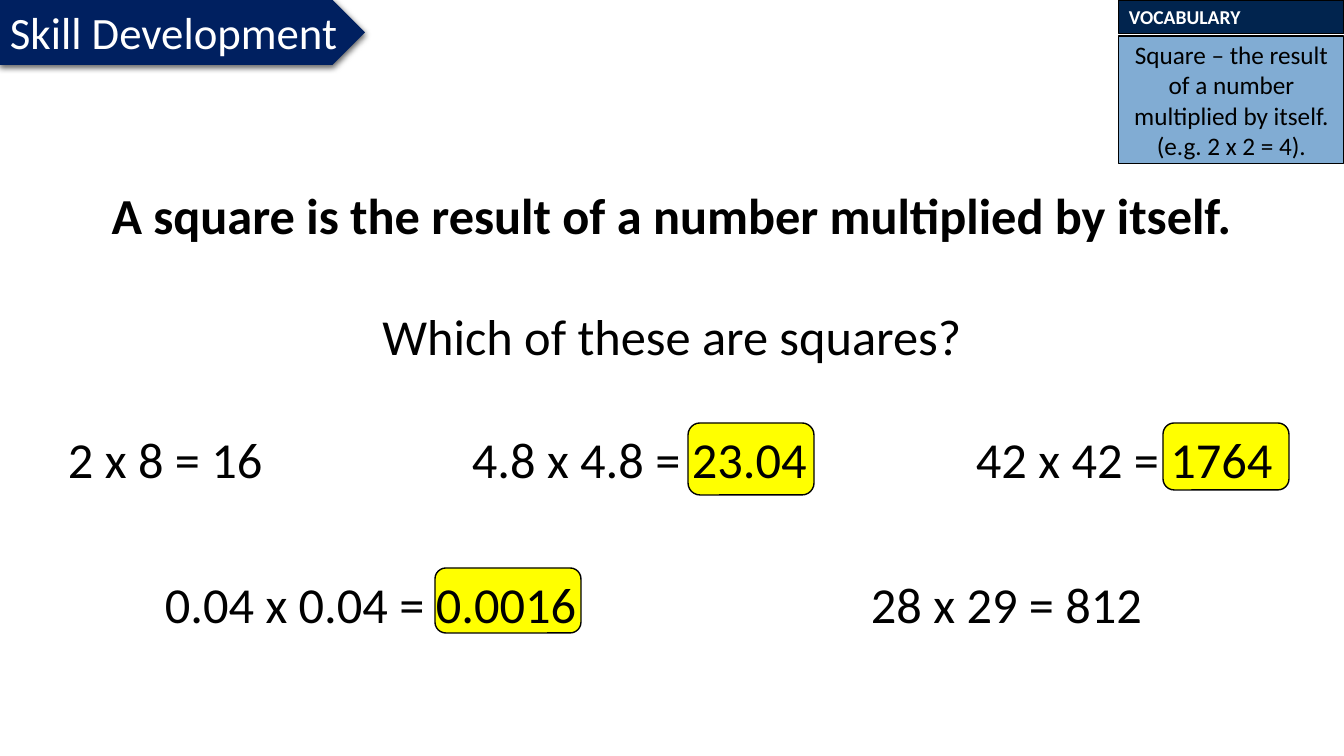
from lxml import etree
from pptx import Presentation
from pptx import util as u
from pptx.dml.color import RGBColor
from pptx.enum import shapes, text
from pptx.oxml.ns import qn

PX = u.Inches(1) / 100.8
HUES = {"navy": "002060", "ink": "01244E", "blue": "2E75B6",
        "gold": "FFFF00", "black": "000000", "white": "FFFFFF"}
KIND = shapes.MSO_SHAPE
LEFT, MID = text.PP_ALIGN.LEFT, text.PP_ALIGN.CENTER


def draw(parent, kind, box, fill, line=None):
    """Add a preset shape; box is left, top, width, height in px."""
    item = parent.add_shape(kind, *[round(n * PX) for n in box])
    item.shadow.inherit = False
    item.fill.solid()
    item.fill.fore_color.rgb = RGBColor.from_string(HUES[fill])
    if line:
        item.line.color.rgb = RGBColor.from_string(HUES["black"])
        item.line.width = u.Pt(line)
    else:
        item.line.fill.background()
    return item


def write(item, words, size, hue="black", align=LEFT, bold=False, wrap=True,
          anchor=text.MSO_ANCHOR.TOP):
    frame = item.text_frame
    frame.text = words
    frame.word_wrap = wrap
    frame.vertical_anchor = anchor
    for para in frame.paragraphs:
        para.alignment = align
        for run in para.runs:
            run.font.name = "Calibri"
            run.font.size = u.Pt(size)
            run.font.bold = bold
            run.font.color.rgb = RGBColor.from_string(HUES[hue])
    return frame


deck = Presentation()
deck.slide_width, deck.slide_height = round(1344 * PX), round(756 * PX)
slide = deck.slides.add_slide(deck.slide_layouts[6])
parts = slide.shapes

# Title banner with a soft shadow below
banner = draw(parts, KIND.PENTAGON, (0, 0, 365, 65), "navy")
write(banner, "Skill Development", 32, "white", wrap=False)
glow = etree.SubElement(
    banner.element.spPr.find(qn("a:effectLst")), qn("a:outerShdw"),
    blurRad=str(u.Pt(4.5)), dist=str(u.Pt(1.5)), dir="5400000",
    algn="t", rotWithShape="0")
tint = etree.SubElement(glow, qn("a:srgbClr"), val=HUES["black"])
etree.SubElement(tint, qn("a:alpha"), val="63000")

# Vocabulary card
card = parts.add_group_shape().shapes
head = draw(card, KIND.RECTANGLE, (1119, 0, 225, 34), "ink", 0.75)
write(head, "VOCABULARY", 14, "white", bold=True)
body = draw(card, KIND.RECTANGLE, (1119, 36, 225, 128), "blue", 0.75)
tint = body.element.spPr.find(qn("a:solidFill"))[0]
etree.SubElement(tint, qn("a:alpha"), val="60000")
write(body, "Square – the result of a number multiplied by itself.\n"
      "(e.g. 2 x 2 = 4).", 18, align=MID, anchor=text.MSO_ANCHOR.MIDDLE)

# Highlights behind the answers that are squares
for box in [(435, 568, 146, 65), (1163, 423, 126, 67), (688, 423, 126, 72)]:
    draw(parts, KIND.ROUNDED_RECTANGLE, box, "gold", 1)

# Definition and question
lead = parts.add_textbox(*[round(n * PX) for n in (23, 179, 1298, 193)])
frame = write(lead, "A square is the result of a number multiplied by itself.\n"
              "Which of these are squares?", 36, align=MID, bold=True)
ask = frame.paragraphs[1]
ask.space_before = u.Pt(43)
ask.runs[0].font.bold = False

# Sums, row by row
rows = {
    423: [(58, "2 x 8 = 16"), (462, "4.8 x 4.8 = 23.04"), (966, "42 x 42 = 1764")],
    568: [(155, "0.04 x 0.04 = 0.0016"), (861, "28 x 29 = 812")],
}
for top, sums in rows.items():
    for left, words in sums:
        label = parts.add_textbox(*[round(n * PX) for n in (left, top, 440, 72)])
        write(label, words, 36, wrap=False)

deck.save("out.pptx")
